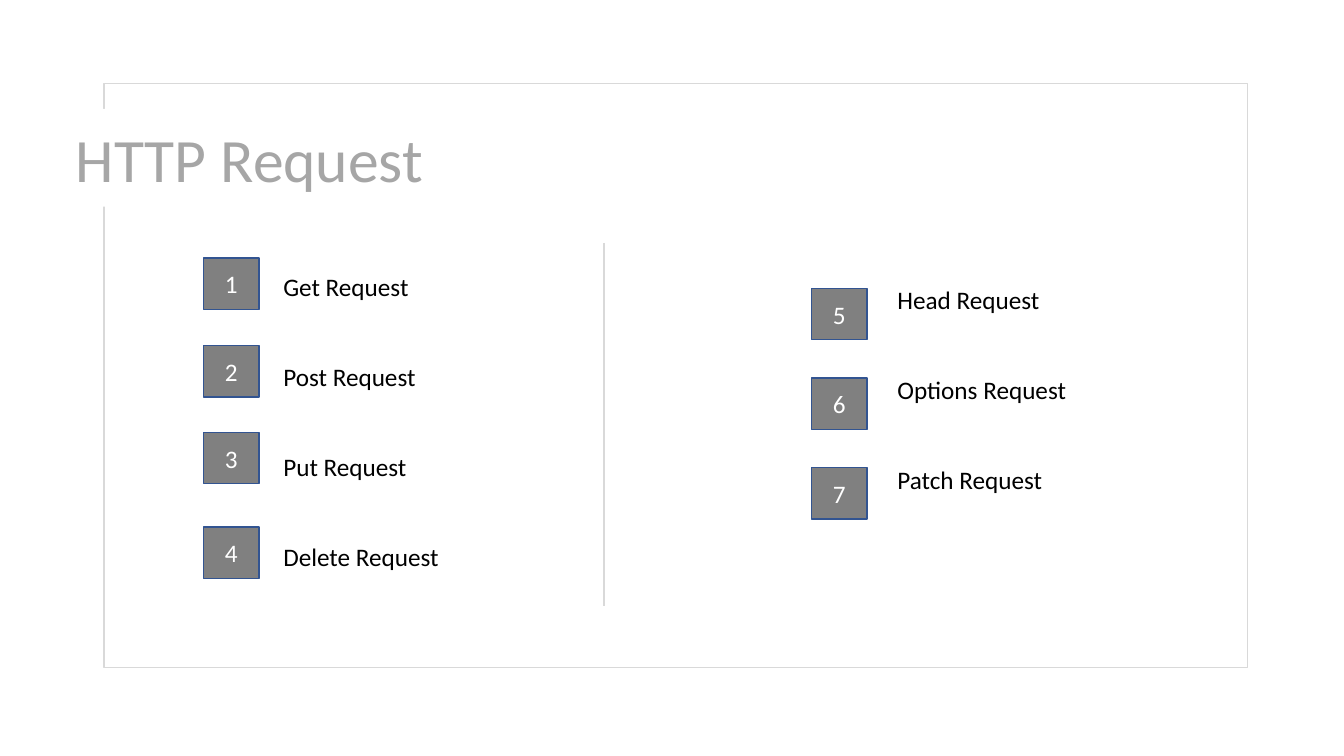
from lxml.etree import SubElement
from pptx import Presentation
from pptx.dml.color import RGBColor
from pptx.enum.shapes import MSO_CONNECTOR, MSO_SHAPE
from pptx.enum.text import MSO_ANCHOR, MSO_AUTO_SIZE, PP_ALIGN
from pptx.oxml.ns import qn
from pptx.util import Inches, Pt

WIDTH, HEIGHT = Inches(13.33), Inches(7.5)
FONT = "Calibri"
BADGE_SIZE = (4.13, 6.8)
LEFT_REQUESTS = ["Get Request", "Post Request", "Put Request", "Delete Request"]
RIGHT_REQUESTS = ["Head Request", "Options Request", "Patch Request"]
LEFT_BADGE_TOPS = [34.13, 45.73, 57.2, 69.73]
RIGHT_BADGE_TOPS = [38.13 + 11.87 * row for row in range(3)]


def color(value):
    """Turn a hex string into a colour."""
    return RGBColor.from_string(value)


def place(left, top, width, height):
    """Turn percentages of the slide into lengths."""
    return [round(share * side / 100) for share, side in
            zip((left, top, width, height), (WIDTH, HEIGHT, WIDTH, HEIGHT))]


def move(shape, *shares):
    """Move and size a shape by percentages of the slide."""
    shape.left, shape.top, shape.width, shape.height = place(*shares)


def write(paragraph, text, size=18, fill="000000", align=PP_ALIGN.LEFT):
    """Write one formatted span into a paragraph."""
    paragraph.alignment = align
    span = paragraph.add_run()
    span.text = text
    span.font.name, span.font.size = FONT, Pt(size)
    span.font.color.rgb = color(fill)


def add_box(page, kind, shares, fill=None, line="D9D9D9"):
    """Add an outlined preset shape."""
    box = page.shapes.add_shape(kind, *place(*shares))
    box.shadow.inherit = False
    if fill:
        box.fill.solid()
        box.fill.fore_color.rgb = color(fill)
    else:
        box.fill.background()
    box.line.color.rgb = color(line)
    box.line.width = Pt(1)
    return box


def add_frame(page):
    """Add the outline behind everything else."""
    frame = add_box(page, MSO_SHAPE.FLOWCHART_PROCESS, (7.73, 11.07, 85.07, 77.2))
    frame.element.getparent().insert(2, frame.element)


def set_title(page, text):
    """Format the title over the frame's left edge."""
    title = page.shapes.title
    move(title, 4.88, 14.4, 46.44, 12.93)
    title.fill.solid()
    title.fill.fore_color.rgb = color("FFFFFF")
    title.text_frame.auto_size = MSO_AUTO_SIZE.NONE
    title.text_frame.vertical_anchor = MSO_ANCHOR.MIDDLE
    write(title.text_frame.paragraphs[0], text, size=44, fill="A6A6A6")


def set_list(body, requests, *shares):
    """Fill a body placeholder with evenly spaced, unbulleted requests."""
    move(body, *shares)
    frame = body.text_frame
    frame.auto_size = MSO_AUTO_SIZE.NONE
    frame.vertical_anchor = MSO_ANCHOR.TOP
    for index, request in enumerate(requests):
        paragraph = frame.add_paragraph() if index else frame.paragraphs[0]
        paragraph.line_spacing = 1.5
        paragraph.space_before, paragraph.space_after = Pt(0), Pt(32)
        properties = paragraph._p.get_or_add_pPr()
        properties.set("marL", "0")
        properties.set("indent", "0")
        SubElement(properties, qn("a:buNone"))
        write(paragraph, request)


def add_badges(page, first, left, tops):
    """Add a column of numbered squares."""
    for number, top in enumerate(tops, first):
        badge = add_box(page, MSO_SHAPE.RECTANGLE, (left, top, *BADGE_SIZE),
                        fill="808080", line="325491")
        badge.text_frame.vertical_anchor = MSO_ANCHOR.MIDDLE
        write(badge.text_frame.paragraphs[0], str(number), fill="FFFFFF",
              align=PP_ALIGN.CENTER)


def add_divider(page, left, top, bottom):
    """Add the vertical line between the two lists."""
    x, start, _, end = place(left, top, left, bottom)
    divider = page.shapes.add_connector(MSO_CONNECTOR.STRAIGHT, x, start, x, end)
    divider.line.color.rgb = color("D9D9D9")
    divider.line.width = Pt(1.5)
    SubElement(divider.element.spPr, qn("a:effectLst"))


def main():
    """Build and save the slide."""
    deck = Presentation()
    deck.slide_width, deck.slide_height = WIDTH, HEIGHT
    page = deck.slides.add_slide(deck.slide_layouts.get_by_name("Two Content"))
    _, left_body, right_body = page.placeholders
    add_frame(page)
    set_title(page, "HTTP Request")
    set_list(left_body, LEFT_REQUESTS, 20.33, 33.2, 18.45, 49.2)
    set_list(right_body, RIGHT_REQUESTS, 66.02, 34.93, 26.78, 45.2)
    add_divider(page, 44.94, 32.13, 80.13)
    add_badges(page, 1, 15.15, LEFT_BADGE_TOPS)
    add_badges(page, 5, 60.39, RIGHT_BADGE_TOPS)
    deck.save("out.pptx")


main()
